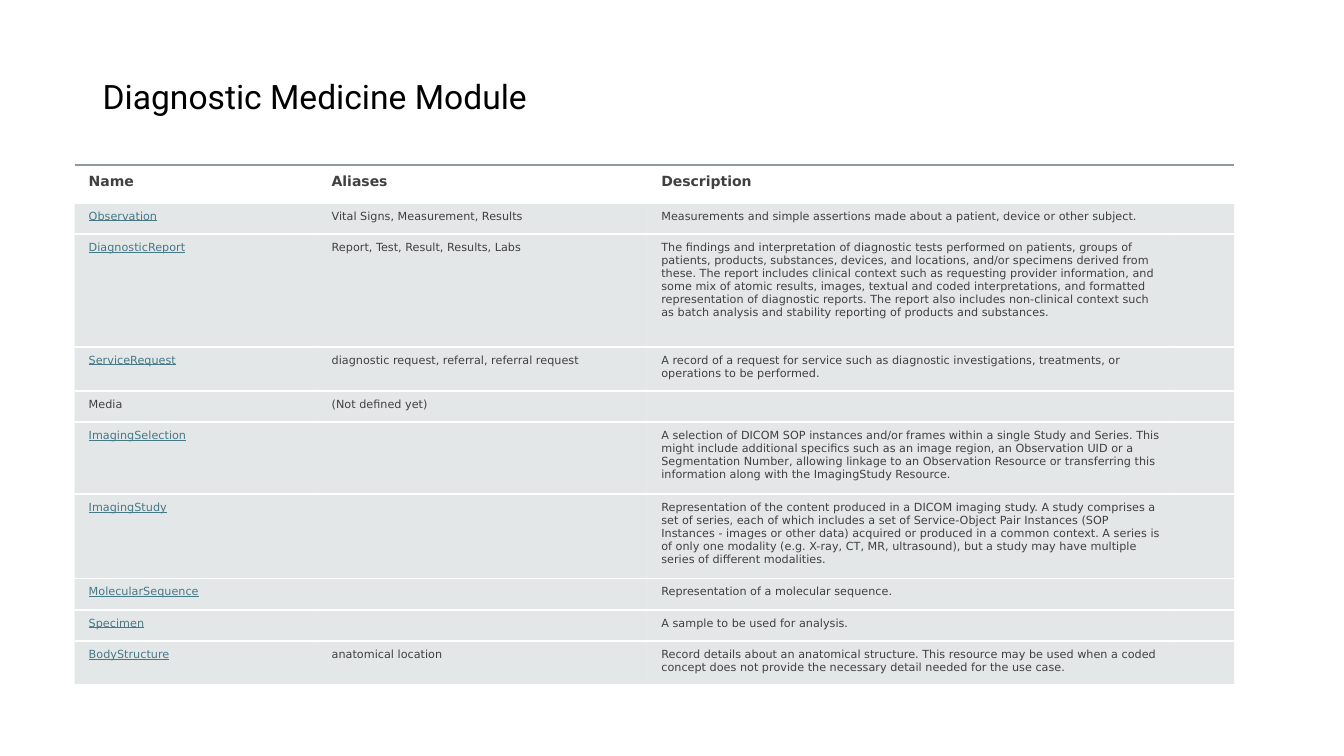
"""Build the slide that lists the resources of the diagnostic medicine module."""
from dataclasses import dataclass

from lxml.etree import SubElement
from pptx import Presentation
from pptx.dml.color import RGBColor
from pptx.enum.text import MSO_ANCHOR
from pptx.oxml.ns import qn
from pptx.util import Inches, Pt

UNIT = Inches(1 / 12)
COLS = (28.92, 39.24, 62.04, 7.8)
HEADS = ("Name", "Aliases", "Description", "")
FONT = "DejaVu Sans"
INK, LINK, FILL, WHITE, RULE = "404040", "467886", "B4BCBE", "FFFFFF", "8F9A9D"
PLAIN = "{2D5ABB26-0587-4C30-8999-92F81FD0307C}"


@dataclass(frozen=True)
class Item:
    """One resource and the grid rows it takes up."""
    name: str
    alias: str
    about: str
    high: float
    link: bool = True


ITEMS = (
    Item("Observation", "Vital Signs, Measurement, Results",
         "Measurements and simple assertions made about a patient, device or other subject.", 3.72),
    Item("DiagnosticReport", "Report, Test, Result, Results, Labs",
         "The findings and interpretation of diagnostic tests performed on patients, groups of "
         "patients, products, substances, devices, and locations, and/or specimens derived from "
         "these. The report includes clinical context such as requesting provider information, "
         "and some mix of atomic results, images, textual and coded interpretations, and "
         "formatted representation of diagnostic reports. The report also includes non-clinical "
         "context such as batch analysis and stability reporting of products and substances.", 13.44),
    Item("ServiceRequest", "diagnostic request, referral, referral request",
         "A record of a request for service such as diagnostic investigations, treatments, or "
         "operations to be performed.", 5.28),
    Item("Media", "(Not defined yet)", "", 3.72, False),
    Item("ImagingSelection", "",
         "A selection of DICOM SOP instances and/or frames within a single Study and Series. "
         "This might include additional specifics such as an image region, an Observation UID "
         "or a Segmentation Number, allowing linkage to an Observation Resource or transferring "
         "this information along with the ImagingStudy Resource.", 8.52),
    Item("ImagingStudy", "",
         "Representation of the content produced in a DICOM imaging study. A study comprises a "
         "set of series, each of which includes a set of Service-Object Pair Instances (SOP "
         "Instances - images or other data) acquired or produced in a common context. A series "
         "is of only one modality (e.g. X-ray, CT, MR, ultrasound), but a study may have "
         "multiple series of different modalities.", 10.08),
    Item("MolecularSequence", "", "Representation of a molecular sequence.", 3.72),
    Item("Specimen", "", "A sample to be used for analysis.", 3.72),
    Item("BodyStructure", "anatomical location",
         "Record details about an anatomical structure. This resource may be used when a coded "
         "concept does not provide the necessary detail needed for the use case.", 5.28),
)


def grid(count: float) -> int:
    """Turn grid steps into a length."""
    return round(count * UNIT)


def color(code: str) -> RGBColor:
    """Turn a hex string into a colour."""
    return RGBColor.from_string(code)


def fade(node, share: int) -> None:
    """Give a colour element its opacity in percent."""
    SubElement(node, qn("a:alpha")).set("val", str(share * 1000))


def edge(cell, side: str, code: str, share: int = 100) -> None:
    """Draw one border of a cell."""
    line = SubElement(cell._tc.get_or_add_tcPr(), qn(f"a:ln{side}"), w=str(Pt(1.5)))
    tint = SubElement(SubElement(line, qn("a:solidFill")), qn("a:srgbClr"), val=code)
    fade(tint, share)


def write(cell, text: str, size: int, code: str, pad: float) -> None:
    """Put text and insets into a cell."""
    cell.margin_left = Inches(0.14)
    cell.margin_right = cell.margin_top = cell.margin_bottom = Inches(pad)
    para = cell.text_frame.paragraphs[0]
    font = para.font
    font.name, font.size, font.color.rgb = FONT, Pt(size), color(code)
    if text:
        para.text = text
    else:
        SubElement(para._p, qn("a:endParaRPr"), sz=str(size * 100))


def head(cell, text: str) -> None:
    """Style a cell of the top row."""
    write(cell, text, 10, INK, 0.08)
    cell.text_frame.paragraphs[0].font.bold = True
    edge(cell, "T", RULE, 60)
    edge(cell, "B", WHITE)
    cell.fill.background()


def body(cell, text: str, link: bool) -> None:
    """Style a cell of a resource row."""
    write(cell, text, 8, LINK if link else INK, 0.07)
    cell.text_frame.paragraphs[0].font.underline = link
    edge(cell, "T", WHITE)
    edge(cell, "B", WHITE)
    cell.fill.solid()
    cell.fill.fore_color.rgb = color(FILL)
    fade(cell._tc.tcPr.find(f"{qn('a:solidFill')}/{qn('a:srgbClr')}"), 35)


def title(slide, text: str) -> None:
    """Add the slide's title."""
    box = slide.shapes.add_textbox(grid(11.04), grid(6.48), grid(138), grid(10.56))
    frame = box.text_frame
    frame.word_wrap = True
    frame.vertical_anchor = MSO_ANCHOR.MIDDLE
    para = frame.paragraphs[0]
    para.text, para.line_spacing = text, 0.9
    font = para.font
    font.name, font.size, font.color.rgb = "Roboto", Pt(24), color("000000")


def table(slide) -> None:
    """Add the table of resources."""
    highs = (4.44, *(item.high for item in ITEMS))
    shape = slide.shapes.add_table(len(highs), len(COLS), grid(8.88), grid(19.68),
                                   grid(sum(COLS)), grid(sum(highs)))
    tab = shape.table
    tab.first_row = tab.horz_banding = False
    tab._tbl.tblPr.find(qn("a:tableStyleId")).text = PLAIN
    for col, wide in zip(tab.columns, COLS):
        col.width = grid(wide)
    for row, high in zip(tab.rows, highs):
        row.height = grid(high)
    for x, text in enumerate(HEADS):
        head(tab.cell(0, x), text)
    for y, item in enumerate(ITEMS, 1):
        for x, text in enumerate((item.name, item.alias, item.about, "")):
            body(tab.cell(y, x), text, item.link and x == 0)


def main() -> None:
    """Build and save the deck."""
    deck = Presentation()
    deck.slide_width, deck.slide_height = Inches(13.33), Inches(7.5)
    slide = deck.slides.add_slide(deck.slide_layouts[6])
    title(slide, "Diagnostic Medicine Module")
    table(slide)
    deck.save("out.pptx")


if __name__ == "__main__":
    main()
